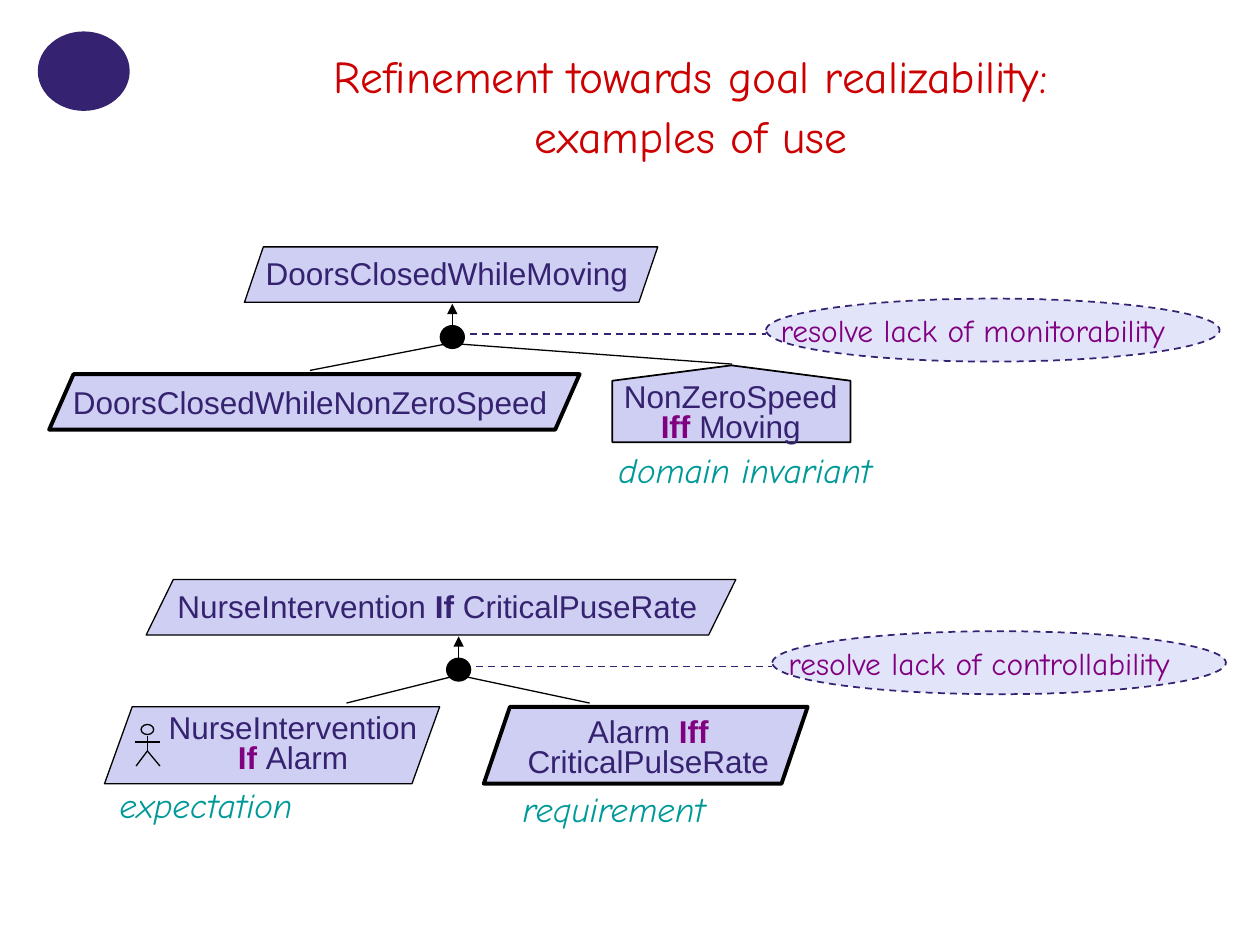
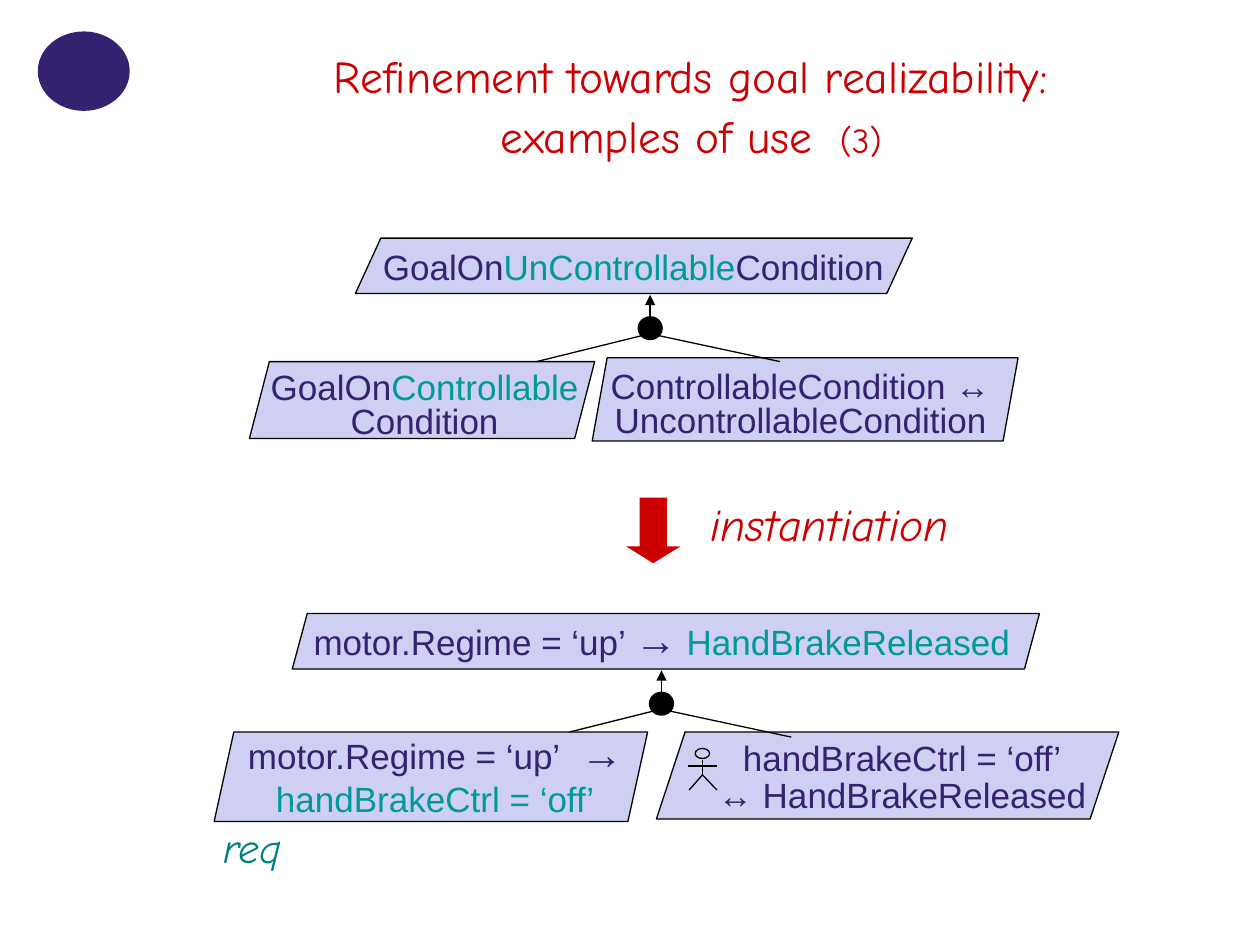
from dataclasses import dataclass
from typing import NamedTuple

from lxml import etree
from pptx import Presentation
from pptx.dml.color import RGBColor
from pptx.enum.dml import MSO_LINE
from pptx.enum.shapes import MSO_CONNECTOR, MSO_SHAPE
from pptx.enum.text import MSO_ANCHOR, MSO_AUTO_SIZE, PP_ALIGN
from pptx.oxml.ns import qn
from pptx.util import Inches, Pt

SLIDE_WIDTH, SLIDE_HEIGHT = Inches(10), Inches(7.5)
COLUMN, ROW = SLIDE_WIDTH / 100, SLIDE_HEIGHT / 75
TITLE_ONLY = 5

INDIGO = RGBColor(0x35, 0x22, 0x70)
LAVENDER = RGBColor(0xCE, 0xCF, 0xF2)
PALE_BLUE = RGBColor(0xE2, 0xE5, 0xFA)
PURPLE = RGBColor(0x80, 0x00, 0x80)
TEAL = RGBColor(0x00, 0x99, 0x99)
DARK_TEAL = RGBColor(0x00, 0x80, 0x80)
RED = RGBColor(0xCC, 0x00, 0x00)
BLACK = RGBColor(0x00, 0x00, 0x00)

SANS, HAND = "Arial", "Comic Neue"
LEFT, CENTER = PP_ALIGN.LEFT, PP_ALIGN.CENTER
TOP, MIDDLE = MSO_ANCHOR.TOP, MSO_ANCHOR.MIDDLE
FIXED, GROW = MSO_AUTO_SIZE.NONE, MSO_AUTO_SIZE.SHAPE_TO_FIT_TEXT
STRAIGHT, DASH = MSO_CONNECTOR.STRAIGHT, MSO_LINE.DASH
ELLIPSE, DOWN_ARROW = MSO_SHAPE.OVAL, MSO_SHAPE.DOWN_ARROW
PARALLELOGRAM, HOUSE = MSO_SHAPE.PARALLELOGRAM, MSO_SHAPE.FLOWCHART_OFFPAGE_CONNECTOR
THIN, MEDIUM, THICK = 0.75, 1, 2.25


class Area(NamedTuple):
    """Left, width in columns; top, height in rows."""
    left: float
    top: float
    width: float
    height: float


class Point(NamedTuple):
    column: float
    row: float


class Run(NamedTuple):
    text: str
    color: RGBColor = INDIGO
    bold: bool = False
    size: float | None = None


class Line(NamedTuple):
    runs: list[Run]
    spacing: float = 0.8


@dataclass
class Goal:
    box: Area
    label: Area
    lines: list[Line]
    slant: float | None = None  # None draws a house outline
    border: float = THIN
    align: PP_ALIGN = CENTER


@dataclass
class Refinement:
    tip: Point
    left_end: Point
    right_end: Point


@dataclass
class Note:
    text: str
    area: Area
    size: float = 20
    color: RGBColor = TEAL
    spacing: float = 1


@dataclass
class Diagram:
    title_runs: list[Run]
    goals: list[Goal]
    refinements: list[Refinement]
    notes: list[Note]
    agent: Area


def title_lines(*second_line: Run) -> list[Run]:
    return [Run("Refinement towards goal realizability:", RED), Run("\n"), *second_line]


def plain(text: str) -> Line:
    return Line([Run(text)])


CORNER_DISC = Area(3, 2.5, 7.3, 6.3)

EXAMPLES = Diagram(
    title_lines(Run("examples of use", RED)),
    [
        Goal(Area(19.4, 19.6, 32.8, 4.4), Area(20.1, 19.7, 31.4, 3.9),
             [Line([Run("DoorsClosedWhileMoving")], 1)], 0.34, align=LEFT),
        Goal(Area(48.6, 29, 18.9, 6.1), Area(48.2, 30, 19.6, 5.7),
             [plain("NonZeroSpeed"), Line([Run("Iff ", PURPLE, True), Run("Moving")])],
             border=MEDIUM),
        Goal(Area(3.9, 29.7, 42.1, 4.4), Area(4.8, 29.9, 40.4, 3.9),
             [Line([Run("DoorsClosedWhileNonZeroSpeed")], 1)], 0.44, THICK, LEFT),
        Goal(Area(11.6, 46, 46.8, 4.4), Area(13.1, 46.1, 44.8, 3.9),
             [Line([Run("NurseIntervention "), Run("If ", bold=True),
                    Run("CriticalPuseRate")], 1)], 0.49, align=LEFT),
        Goal(Area(38.4, 56.1, 25.7, 6.1), Area(39, 56.6, 24.9, 5.7),
             [Line([Run("Alarm "), Run("Iff", PURPLE, True)]), plain("CriticalPulseRate")],
             0.34, THICK),
        Goal(Area(8.3, 56.1, 26.6, 6.1), Area(11.3, 56.3, 23.9, 5.7),
             [plain("NurseIntervention"), Line([Run("If ", PURPLE, True), Run("Alarm")])],
             0.36),
    ],
    [
        Refinement(Point(35.9, 24.1), Point(24.6, 29.4), Point(58.1, 28.9)),
        Refinement(Point(36.4, 50.5), Point(27.5, 55.8), Point(46.8, 55.8)),
    ],
    [
        Note("domain invariant", Area(48.1, 35.1, 25.9, 4.3)),
        Note("expectation", Area(8.5, 61.7, 19, 4.3)),
        Note("requirement", Area(40.5, 62, 19.2, 4.3)),
    ],
    Area(10.7, 57.5, 2, 3.3),
)
CALLOUTS = {
    "resolve lack of monitorability": Point(60.8, 23.7),
    "resolve lack of controllability": Point(61.3, 50.1),
}

INSTANTIATION = Diagram(
    title_lines(Run("examples of use ", RED), Run(" (3)", RED, size=20)),
    [
        Goal(Area(52.1, 58.1, 36.7, 6.9), Area(55.7, 58.6, 31.8, 6.1),
             [plain("handBrakeCtrl = ‘off’"), Line([Run("↔ HandBrakeReleased")], 0.9)], 0.33),
        Goal(Area(47, 28.4, 33.8, 6.6), Area(47.4, 29.1, 32.3, 5.7),
             [plain("ControllableCondition ↔"), plain("UncontrollableCondition")], 0.18),
        Goal(Area(28.2, 18.9, 44.2, 4.4), Area(29.4, 19, 43.1, 3.9),
             [Line([Run("GoalOn"), Run("UnControllable", TEAL), Run("Condition")], 1)],
             0.46, align=LEFT),
        Goal(Area(19.8, 28.7, 27.4, 6.1), Area(19.8, 29.2, 27.8, 5.7),
             [Line([Run("GoalOn"), Run("Controllable", TEAL)]), plain("Condition")], 0.26),
        Goal(Area(23.2, 48.7, 59.3, 4.4), Area(23.9, 49, 57.7, 3.9),
             [Line([Run("motor.Regime = ‘up’ "), Run("→", size=24),
                    Run(" HandBrakeReleased", TEAL)])], 0.27, align=LEFT),
        Goal(Area(17, 58.1, 34.4, 7.1), Area(17.6, 58, 33.9, 5.7),
             [Line([Run("motor.Regime = ‘up’ "), Run(" →", size=24)]),
              Line([Run("handBrakeCtrl = ‘off’", TEAL)], 1)], 0.22),
    ],
    [
        Refinement(Point(51.6, 23.4), Point(42.6, 28.7), Point(61.9, 28.7)),
        Refinement(Point(52.5, 53.2), Point(45.2, 58.1), Point(62.8, 58.5)),
    ],
    [
        Note("instantiation", Area(55.4, 38.9, 25.8, 3.9), 26, RED),
        Note("req", Area(16.7, 65.5, 10.6, 4.3), 24, DARK_TEAL, 0.8),
    ],
    Area(54.6, 59.4, 2.3, 3.3),
)


def set_all(target, values: dict) -> None:
    for name, value in values.items():
        setattr(target, name, value)


def place(area: Area) -> list[int]:
    return [round(length * unit) for length, unit in zip(area, (COLUMN, ROW) * 2)]


def add_figure(slide, kind, area: Area, fill=None, line=None, width=THIN, dash=None):
    shape = slide.shapes.add_shape(kind, *place(area))
    shape.shadow.inherit = False
    if fill is None:
        shape.fill.background()
    else:
        shape.fill.solid()
        shape.fill.fore_color.rgb = fill
    if line is None:
        shape.line.fill.background()
    else:
        shape.line.color.rgb = line
        set_all(shape.line, {"width": Pt(width), "dash_style": dash})
    return shape


def add_line(slide, start: Point, end: Point, color=BLACK, width=THIN, dash=None,
             arrow: bool = False) -> None:
    """Draw a straight line, with the arrowhead at its start if wanted."""
    connector = slide.shapes.add_connector(STRAIGHT, *place(Area(*start, *end)))
    connector.line.color.rgb = color
    set_all(connector.line, {"width": Pt(width), "dash_style": dash})
    properties = connector.element.spPr
    if arrow:
        etree.SubElement(properties.find(qn("a:ln")), qn("a:headEnd"), type="triangle")
    etree.SubElement(properties, qn("a:effectLst"))


def fill_paragraph(paragraph, runs: list[Run], size: float, font_name: str,
                   italic: bool = False) -> None:
    for item in runs:
        if item.text == "\n":
            paragraph.add_line_break()
            continue
        run = paragraph.add_run()
        run.text = item.text
        run.font.color.rgb = item.color
        set_all(run.font, {"name": font_name, "size": Pt(item.size or size),
                           "bold": item.bold, "italic": italic})


def add_text(slide, area: Area, lines: list[Line], size: float, font_name: str = SANS,
             align=LEFT, italic: bool = False, wrap: bool = True, anchor=TOP,
             fit=FIXED) -> None:
    frame = slide.shapes.add_textbox(*place(area)).text_frame
    set_all(frame, {"word_wrap": wrap, "vertical_anchor": anchor, "auto_size": fit})
    for index, line in enumerate(lines):
        paragraph = frame.add_paragraph() if index else frame.paragraphs[0]
        set_all(paragraph, {"alignment": align, "line_spacing": line.spacing})
        fill_paragraph(paragraph, line.runs, size, font_name, italic)


def add_goal(slide, goal: Goal, size: float) -> None:
    kind = HOUSE if goal.slant is None else PARALLELOGRAM
    shape = add_figure(slide, kind, goal.box, LAVENDER, BLACK, goal.border)
    if goal.slant is None:
        shape.element.spPr.find(qn("a:xfrm")).set("flipV", "1")
    else:
        shape.adjustments[0] = goal.slant
    add_text(slide, goal.label, goal.lines, size, align=goal.align)


def add_refinement(slide, refinement: Refinement) -> None:
    column, row = refinement.tip
    add_line(slide, refinement.tip, Point(column, row + 2), arrow=True)
    for side, end in ((-0.5, refinement.left_end), (0.5, refinement.right_end)):
        add_line(slide, Point(column + side, row + 3.2), end)
    add_figure(slide, ELLIPSE, Area(column - 0.9, row + 1.8, 1.8, 1.7), BLACK, BLACK, 1.5)


def add_callout(slide, text: str, corner: Point) -> None:
    column, row = corner
    add_figure(slide, ELLIPSE, Area(column, row, 36, 5), PALE_BLUE, INDIGO, MEDIUM, DASH)
    add_line(slide, Point(column - 23.5, row + 2.8), Point(column, row + 2.8),
             INDIGO, MEDIUM, DASH)
    add_text(slide, Area(column + 0.15, row + 0.5, 32.5, 4), [Line([Run(text, PURPLE)], 1)],
             18, HAND, CENTER, wrap=False, anchor=MIDDLE, fit=GROW)


def add_agent(slide, area: Area) -> None:
    """Draw a stick figure whose arms span the area's width."""
    left, top, width, height = area
    middle, hip, foot = left + width / 2, top + 2.1, top + height
    add_figure(slide, ELLIPSE, Area(left + width / 4, top, width / 2, 0.8), line=BLACK)
    limbs = [
        (Point(middle, top + 0.9), Point(middle, hip)),
        (Point(middle, hip), Point(left + 0.1, foot)),
        (Point(middle, hip), Point(left + width, foot)),
        (Point(left, top + 1.4), Point(left + width, top + 1.4)),
    ]
    for start, end in limbs:
        add_line(slide, start, end)


def add_title(slide, runs: list[Run]) -> None:
    title = slide.shapes.title
    set_all(title, dict(zip(("left", "top", "width", "height"),
                            place(Area(9.8, 3.1, 90.1, 10.1)))))
    frame = title.text_frame
    set_all(frame, {"word_wrap": True, "vertical_anchor": MIDDLE, "auto_size": FIXED})
    paragraph = frame.paragraphs[0]
    set_all(paragraph, {"alignment": CENTER, "line_spacing": 1.1})
    paragraph.font.size = Pt(26)
    fill_paragraph(paragraph, runs, 26, HAND)


def add_diagram(presentation, diagram: Diagram, goal_size: float):
    slide = presentation.slides.add_slide(presentation.slide_layouts[TITLE_ONLY])
    add_title(slide, diagram.title_runs)
    add_figure(slide, ELLIPSE, CORNER_DISC, INDIGO)
    for goal in diagram.goals:
        add_goal(slide, goal, goal_size)
    for refinement in diagram.refinements:
        add_refinement(slide, refinement)
    for note in diagram.notes:
        line = Line([Run(note.text, note.color)], note.spacing)
        add_text(slide, note.area, [line], note.size, HAND, italic=True)
    add_agent(slide, diagram.agent)
    return slide


def main() -> None:
    presentation = Presentation()
    set_all(presentation, {"slide_width": SLIDE_WIDTH, "slide_height": SLIDE_HEIGHT})
    examples = add_diagram(presentation, EXAMPLES, 18)
    for text, corner in CALLOUTS.items():
        add_callout(examples, text, corner)
    instantiation = add_diagram(presentation, INSTANTIATION, 20)
    arrow = add_figure(instantiation, DOWN_ARROW, Area(49.7, 39.5, 4.3, 5.2), RED)
    arrow.adjustments[1] = 0.31
    presentation.save("out.pptx")


if __name__ == "__main__":
    main()
